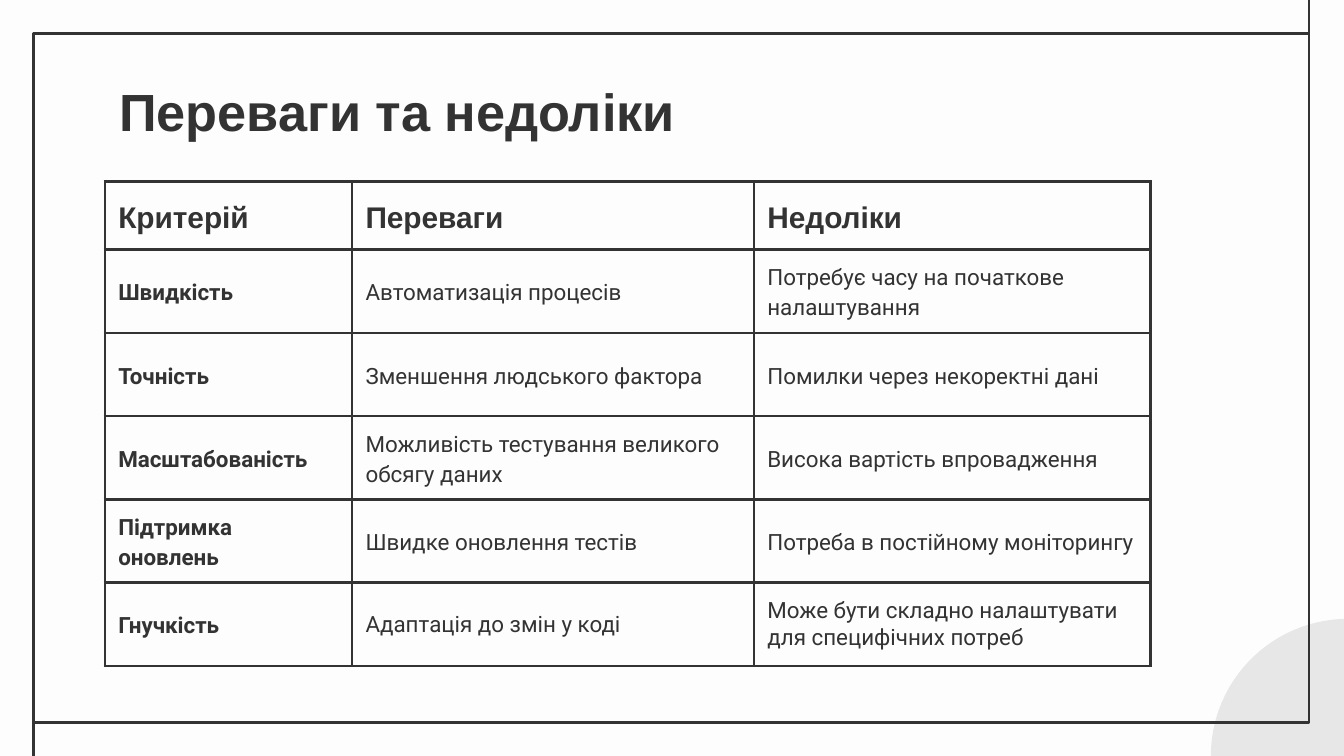
from dataclasses import dataclass

from lxml import etree
from pptx import Presentation
from pptx import util as u
from pptx.dml.color import RGBColor
from pptx.enum import shapes, text
from pptx.oxml import ns


@dataclass(frozen=True)
class Theme:
    paper: RGBColor = RGBColor.from_string("FDFDFD")
    ink: RGBColor = RGBColor.from_string("333333")
    disc: RGBColor = RGBColor.from_string("E8E7E7")
    heading_font: str = "Arial"
    body_font: str = "Roboto"
    title_size: int = 28
    header_size: int = 16
    body_size: int = 12
    stroke: float = 1.5


THEME = Theme()
CRITERIA = [
    ("Критерій", "Переваги", "Недоліки"),
    ("Швидкість", "Автоматизація процесів", "Потребує часу на початкове налаштування"),
    ("Точність", "Зменшення людського фактора", "Помилки через некоректні дані"),
    ("Масштабованість", "Можливість тестування великого обсягу даних",
     "Висока вартість впровадження"),
    ("Підтримка оновлень", "Швидке оновлення тестів", "Потреба в постійному моніторингу"),
    ("Гнучкість", "Адаптація до змін у коді",
     "Може бути складно налаштувати для специфічних потреб"),
]


def set_attributes(target, values):
    for name, value in values.items():
        setattr(target, name, value)


def write(frame, words, font, size, bold):
    paragraph = frame.paragraphs[0]
    paragraph.alignment = text.PP_ALIGN.LEFT
    run = paragraph.add_run()
    run.text = words
    set_attributes(run.font, {"name": font, "size": u.Pt(size), "bold": bold})
    run.font.color.rgb = THEME.ink
    return paragraph


def ink_line(line):
    line.color.rgb = THEME.ink
    line.width = u.Pt(THEME.stroke)


def add_disc(slide, left, top, size):
    disc = slide.shapes.add_shape(
        shapes.MSO_SHAPE.OVAL, *map(u.Inches, (left, top, size, size)))
    disc.shadow.inherit = False
    disc.fill.solid()
    disc.fill.fore_color.rgb = THEME.disc
    disc.line.fill.background()


def add_frame(slide, left, top, width, height, slide_height):
    right, bottom = left + width, top + height
    for x, start, end in ((right, top, 0), (left, slide_height, bottom)):
        tail = slide.shapes.add_connector(
            shapes.MSO_CONNECTOR.STRAIGHT, *map(u.Inches, (x, start, x, end)))
        ink_line(tail.line)
        etree.SubElement(tail._element.spPr, ns.qn("a:effectLst"))
    border = slide.shapes.add_shape(
        shapes.MSO_SHAPE.RECTANGLE, *map(u.Inches, (left, top, width, height)))
    border.shadow.inherit = False
    border.fill.background()
    ink_line(border.line)


def add_title(slide, words, left, top, width, height):
    title = slide.shapes.add_textbox(*map(u.Inches, (left, top, width, height))).text_frame
    inset = u.Inches(0.1)
    set_attributes(title, {
        "word_wrap": True, "vertical_anchor": text.MSO_ANCHOR.TOP,
        "margin_left": inset, "margin_right": inset,
        "margin_top": inset, "margin_bottom": inset,
    })
    write(title, words, THEME.heading_font, THEME.title_size, True)


def outline_cell(cell):
    properties = cell._tc.get_or_add_tcPr()
    for position, side in enumerate(("lnL", "lnR", "lnT", "lnB")):
        edge = etree.Element(ns.qn(f"a:{side}"), w=str(u.Pt(THEME.stroke)))
        fill = etree.SubElement(edge, ns.qn("a:solidFill"))
        etree.SubElement(fill, ns.qn("a:srgbClr"), val=str(THEME.ink))
        properties.insert(position, edge)


def add_comparison(slide, rows, left, top, column_widths, header_height, row_height):
    heights = [header_height] + [row_height] * (len(rows) - 1)
    box = map(u.Inches, (left, top, sum(column_widths), sum(heights)))
    table = slide.shapes.add_table(len(rows), len(column_widths), *box).table
    set_attributes(table, {"first_row": False, "horz_banding": False})
    for column, width in zip(table.columns, column_widths):
        column.width = u.Inches(width)
    for row, height in zip(table.rows, heights):
        row.height = u.Inches(height)
    for r, entries in enumerate(rows):
        for c, words in enumerate(entries):
            header, compact = r == 0, r == len(rows) - 1 and c > 0
            inset = u.Inches(0.1 if header else 0.05 if compact else 0)
            cell = table.cell(r, c)
            set_attributes(cell, {
                "vertical_anchor": text.MSO_ANCHOR.MIDDLE,
                "margin_left": u.Inches(0.1), "margin_right": u.Inches(0.1),
                "margin_top": inset, "margin_bottom": inset,
            })
            cell.fill.background()
            outline_cell(cell)
            font = THEME.heading_font if header else THEME.body_font
            size = THEME.header_size if header else THEME.body_size
            paragraph = write(cell.text_frame, words, font, size, header or c == 0)
            paragraph.line_spacing = 1.0 if compact else 1.15


def build_comparison_slide(deck, width, height):
    slide = deck.slides.add_slide(deck.slide_layouts[6])
    slide.background.fill.solid()
    slide.background.fill.fore_color.rgb = THEME.paper
    add_disc(slide, width - 0.99, height - 1.02, 2.04)
    add_frame(slide, 0.25, 0.25, width - 0.51, height - 0.5, height)
    add_title(slide, "Переваги та недоліки", 0.79, 0.49, 8.43, 0.63)
    add_comparison(slide, CRITERIA, 0.78, 1.35, (1.84, 2.99, 2.95), 0.44, 0.62)


def main():
    width = 10
    height = width * 9 / 16
    deck = Presentation()
    set_attributes(deck, {"slide_width": u.Inches(width), "slide_height": u.Inches(height)})
    build_comparison_slide(deck, width, height)
    deck.save("out.pptx")


if __name__ == "__main__":
    main()
